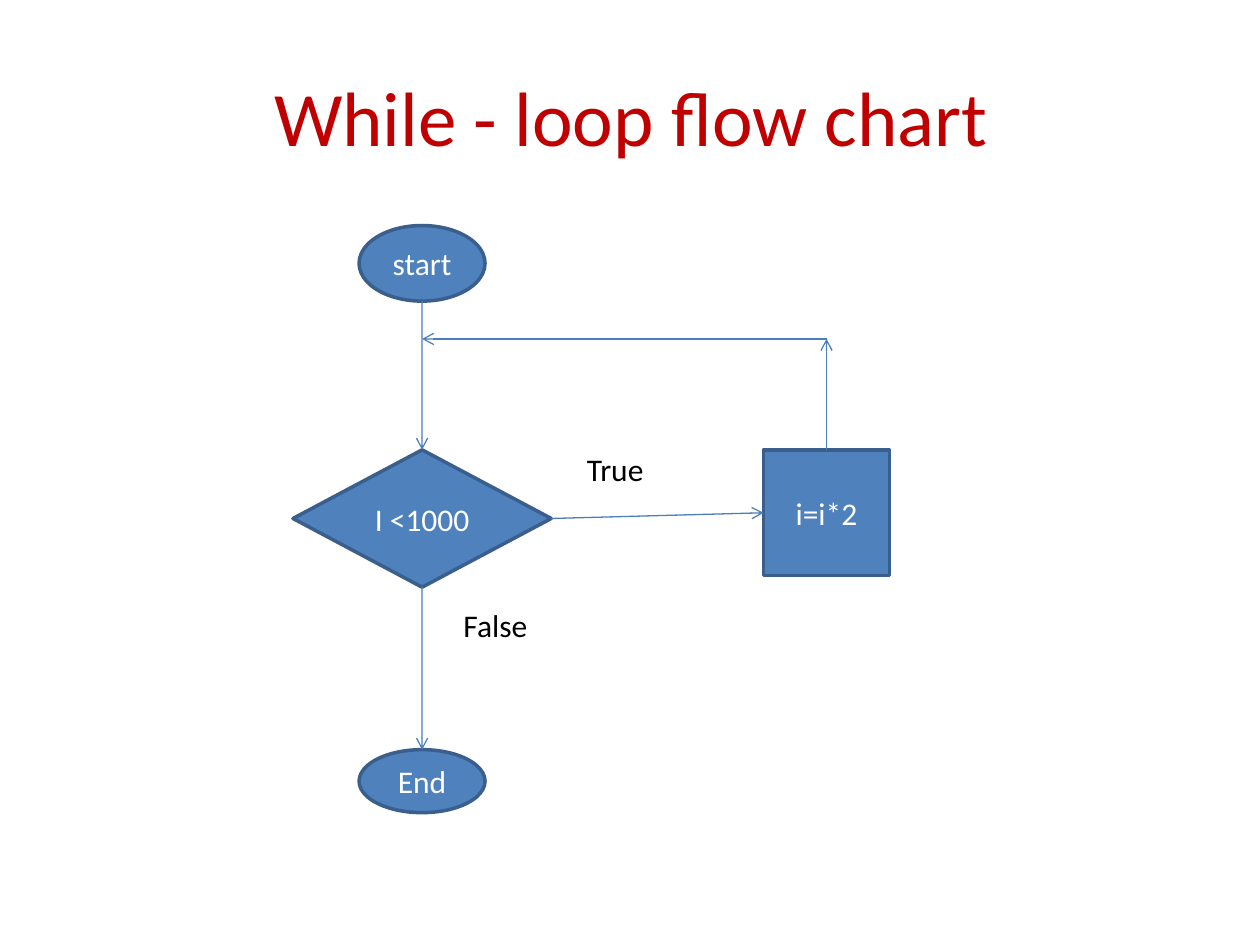
from lxml.etree import SubElement
from pptx import Presentation
from pptx.dml.color import RGBColor
from pptx.enum.shapes import MSO_CONNECTOR as CONN, MSO_SHAPE as SHAPE
from pptx.enum.text import MSO_ANCHOR as ANCHOR, MSO_AUTO_SIZE as AUTO, PP_ALIGN as ALIGN
from pptx.oxml.ns import qn
from pptx.util import Inches, Pt

COLORS = {"title": "C00000", "fill": "4F81BD", "edge": "3A5F8C",
          "arrow": "4B7EBC", "light": "FFFFFF", "dark": "000000"}
COLS, ROWS = 10, 7.5
TOP, LEFT, BOTTOM, RIGHT = range(4)


class FlowChart:
    font = "Calibri"

    def __init__(self, prs):
        self.col = prs.slide_width / COLS
        self.row = prs.slide_height / ROWS
        self.s = prs.slides.add_slide(prs.slide_layouts[5])

    def color(self, name):
        return RGBColor.from_string(COLORS[name])

    def box(self, x, y, w, h):
        return [int(v) for v in (x * self.col, y * self.row, w * self.col, h * self.row)]

    def set_text(self, sp, text, size, color, align):
        tf = sp.text_frame
        tf.text = text
        p = tf.paragraphs[0]
        p.alignment = align
        f = p.runs[0].font
        f.name, f.size = self.font, Pt(size)
        f.color.rgb = self.color(color)
        return tf

    def title(self, text, x, y, w, h):
        sp = self.s.shapes.title
        sp.left, sp.top, sp.width, sp.height = self.box(x, y, w, h)
        tf = self.set_text(sp, text, 44, "title", ALIGN.CENTER)
        tf.vertical_anchor = ANCHOR.MIDDLE

    def node(self, kind, text, center, y, w, h):
        sp = self.s.shapes.add_shape(kind, *self.box(center - w / 2, y, w, h))
        sp.shadow.inherit = False
        sp.fill.solid()
        sp.fill.fore_color.rgb = self.color("fill")
        sp.line.color.rgb = self.color("edge")
        sp.line.width = Pt(2)
        tf = self.set_text(sp, text, 18, "light", ALIGN.CENTER)
        tf.vertical_anchor = ANCHOR.MIDDLE
        return sp

    def label(self, text, x, y, w, h):
        sp = self.s.shapes.add_textbox(*self.box(x, y, w, h))
        tf = self.set_text(sp, text, 18, "dark", ALIGN.LEFT)
        tf.word_wrap = False
        tf.auto_size = AUTO.SHAPE_TO_FIT_TEXT

    def arrow(self, start, end, begin=None, finish=None):
        c = self.s.shapes.add_connector(CONN.STRAIGHT, *self.box(*start, *end))
        if begin:
            c.begin_connect(*begin)
        if finish:
            c.end_connect(*finish)
        c.line.color.rgb = self.color("arrow")
        c.line.width = Pt(0.75)
        props = c._element.spPr
        SubElement(props.find(qn("a:ln")), qn("a:tailEnd"), type="arrow")
        SubElement(props, qn("a:effectLst"))


def main():
    prs = Presentation()
    prs.slide_width, prs.slide_height = Inches(10), Inches(7.5)
    chart = FlowChart(prs)
    chart.title("While - loop flow chart", 0.51, 0.29, 9, 1.25)

    main_x, loop_x = 3.35, 6.56
    start_end, back_y, test_y, test_end, end_y = 2.39, 2.69, 3.57, 4.66, 5.95
    chart.node(SHAPE.OVAL, "start", main_x, 1.79, 1, 0.6)
    test = chart.node(SHAPE.DIAMOND, "I <1000", main_x, test_y, 2.05, 1.09)
    step = chart.node(SHAPE.RECTANGLE, "i=i*2", loop_x, test_y, 1, 1)
    end = chart.node(SHAPE.OVAL, "End", main_x, end_y, 1, 0.5)

    chart.arrow((main_x, start_end), (main_x, test_y), finish=(test, TOP))
    chart.arrow((main_x, test_end), (main_x, end_y), (test, BOTTOM), (end, TOP))
    chart.arrow((4.37, 4.12), (6.06, 4.07), (test, RIGHT), (step, LEFT))
    chart.arrow((loop_x, test_y), (loop_x, back_y), begin=(step, TOP))
    chart.arrow((loop_x, back_y), (main_x, back_y))

    chart.label("True", 4.56, 3.52, 0.66, 0.4)
    chart.label("False", 3.58, 4.76, 0.71, 0.4)
    prs.save("out.pptx")


if __name__ == "__main__":
    main()
